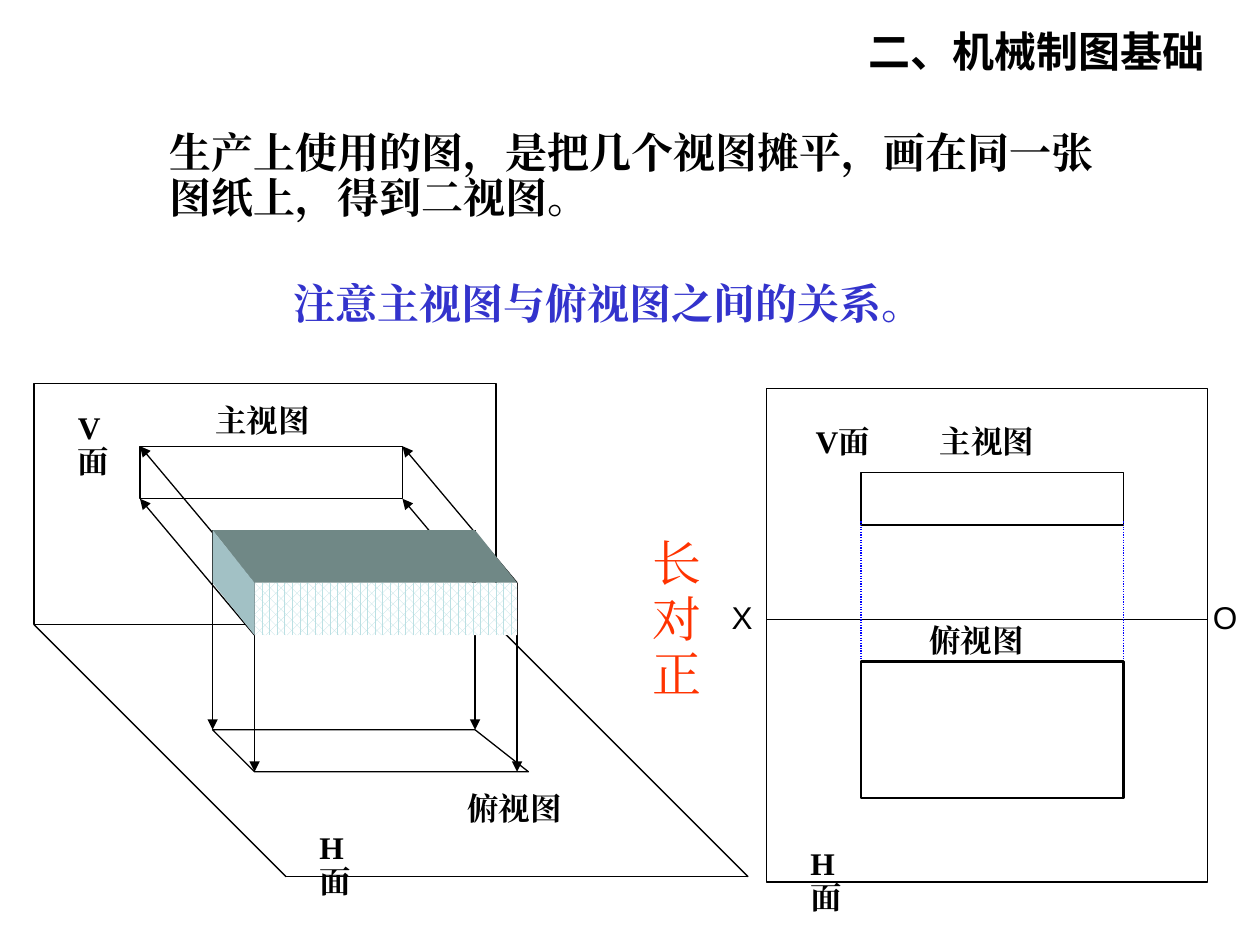
from itertools import product

from lxml import etree
from pptx import Presentation
from pptx.dml.color import RGBColor
from pptx.enum.dml import MSO_LINE, MSO_PATTERN
from pptx.enum.shapes import MSO_CONNECTOR, MSO_SHAPE
from pptx.enum.text import MSO_ANCHOR, PP_ALIGN
from pptx.oxml.ns import qn
from pptx.util import Pt

LEFT, CENTER = PP_ALIGN.LEFT, PP_ALIGN.CENTER
MIDDLE = MSO_ANCHOR.MIDDLE
RECTANGLE, STRAIGHT = MSO_SHAPE.RECTANGLE, MSO_CONNECTOR.STRAIGHT
DOTTED, DOTS = MSO_LINE.ROUND_DOT, MSO_PATTERN.PERCENT_60

THEME = {
    "black": RGBColor.from_string("000000"),
    "white": RGBColor.from_string("FFFFFF"),
    "note": RGBColor.from_string("3333CC"),
    "rule": RGBColor.from_string("FF3300"),
    "guide": RGBColor.from_string("0000FF"),
    "front": RGBColor.from_string("BBE0E3"),
    "top": RGBColor.from_string("708886"),
    "side": RGBColor.from_string("A2C1C5"),
    "serif": "Times New Roman",
    "sans": "Arial",
    "heading": "Noto Sans CJK SC",
    "large": 24,
    "label": 18,
    "emphasis": 28,
}

deck = Presentation()
deck.slide_width, deck.slide_height = Pt(720), Pt(540)
page = deck.slides.add_slide(deck.slide_layouts[5])
shapes = page.shapes


def write(box, text, size, color="black", font="serif", bold=True, align=CENTER, spacing=0.9):
    """Fill a box with one paragraph in one Latin and East Asian typeface."""
    frame = box.text_frame
    frame.word_wrap = True
    frame.text = text
    para = frame.paragraphs[0]
    para.alignment, para.line_spacing, para.space_before = align, spacing, Pt(0)
    span = para.runs[0]
    span.font.name, span.font.size = THEME[font], Pt(THEME[size])
    span.font.bold, span.font.color.rgb = bold, THEME[color]
    east_asian = etree.SubElement(span._r.get_or_add_rPr(), qn("a:ea"))
    east_asian.set("typeface", THEME[font])


def draw_line(x1, y1, x2, y2, color="black", arrow=False):
    line = shapes.add_connector(STRAIGHT, Pt(x1), Pt(y1), Pt(x2), Pt(y2))
    line.line.color.rgb, line.line.width = THEME[color], Pt(0.75)
    if arrow:
        etree.SubElement(line.line._get_or_add_ln(), qn("a:tailEnd")).set("type", "triangle")
    etree.SubElement(line._element.spPr, qn("a:effectLst"))
    return line


# Heading
title = shapes.title
title.left, title.top, title.width, title.height = Pt(465), Pt(0), Pt(255), Pt(57.6)
title.text_frame.vertical_anchor = MIDDLE
write(title, "二、机械制图基础", "large", font="heading", spacing=1)

# Outlines: V plane and its view, then the flat sheet with both views
length, height = 150, 30
view_x, view_y = 80, 255
for left, top, width, tall, weight in [
    (19.5, 219, 264, 138, 0.75),
    (view_x, view_y, length, height, 0.75),
    (438, 222, 252, 282, 0.75),
    (492, 270, length, height, 1),
    (492, 378, length, 78, 1.25),
]:
    outline = shapes.add_shape(RECTANGLE, Pt(left), Pt(top), Pt(width), Pt(tall))
    outline.shadow.inherit = False
    outline.fill.background()
    outline.line.color.rgb, outline.line.width = THEME["black"], Pt(weight)

# H plane
for x1, y1, x2, y2 in [
    (19.5, 357, 163.5, 501),
    (283.5, 357, 427.5, 501),
    (163.5, 501, 427.5, 501),
]:
    draw_line(x1, y1, x2, y2)

# Projection rays from the solid to the two planes
solid_x, solid_y = 145.5, 333
depth_x, depth_y = 24, 30
back_x, back_y = solid_x - depth_x, solid_y - depth_y
for dx, dy in product((0, length), (0, height)):
    draw_line(solid_x + dx, solid_y + dy, view_x + dx, view_y + dy, arrow=True)
for dx in (0, length):
    draw_line(solid_x + dx, solid_y, solid_x + dx, 441, arrow=True)
    draw_line(back_x + dx, back_y, back_x + dx, 417, arrow=True)

# Solid and its top view on the H plane
front = shapes.add_shape(RECTANGLE, Pt(solid_x), Pt(solid_y), Pt(length), Pt(height))
front.shadow.inherit = False
front.fill.patterned()
front.fill.pattern = DOTS
front.fill.fore_color.rgb, front.fill.back_color.rgb = THEME["front"], THEME["white"]
front.line.fill.background()

top_face = [(back_x, back_y), (back_x + length, back_y),
            (solid_x + length, solid_y), (solid_x, solid_y)]
side_face = [(back_x, back_y), (solid_x, solid_y),
             (solid_x, solid_y + height), (back_x, back_y + height)]
top_view = [(back_x, 417), (solid_x, 441), (302, 441), (back_x + length, 417)]
for corners, fill in [(top_face, "top"), (side_face, "side"), (top_view, None)]:
    points = [(Pt(x), Pt(y)) for x, y in corners]
    builder = shapes.build_freeform(*points[0], scale=1.0)
    builder.add_line_segments(points[1:], close=True)
    face = builder.convert_to_shape()
    face.shadow.inherit = False
    if fill:
        face.fill.solid()
        face.fill.fore_color.rgb = THEME[fill]
        face.line.fill.background()
    else:
        face.fill.background()
        face.line.color.rgb, face.line.width = THEME["black"], Pt(0.75)

# Axis and alignment guides on the flat sheet
draw_line(438, 354, 690, 354)
for x in (492, 492 + length):
    draw_line(x, 298, x, 376.5, "guide").line.dash_style = DOTTED

# View and plane labels; the narrow boxes break after the letter
for text, left, top, width, align in [
    ("V面", 37.5, 232, 36, LEFT),
    ("H面", 175.5, 472, 36, LEFT),
    ("H面", 456, 481, 36, LEFT),
    ("V面", 456, 240, 51, CENTER),
    ("主视图", 528, 240, 72, CENTER),
    ("俯视图", 522, 354, 72, CENTER),
    ("主视图", 114, 228, 72, CENTER),
    ("俯视图", 258, 450, 72, CENTER),
]:
    box = shapes.add_textbox(Pt(left), Pt(top), Pt(width), Pt(26.5))
    write(box, text, "label", align=align)

# Sentences
statement = shapes.add_textbox(Pt(90), Pt(72), Pt(564), Pt(60))
write(statement, "生产上使用的图，是把几个视图摊平，画在同一张图纸上，得到二视图。", "large", align=LEFT)
note = shapes.add_textbox(Pt(158), Pt(158), Pt(380), Pt(76))
write(note, "注意主视图与俯视图之间的关系。", "large", "note")
rule = shapes.add_textbox(Pt(366), Pt(303), Pt(48), Pt(98))
write(rule, "长对正", "emphasis", "rule", bold=False, align=LEFT, spacing=0.95)

# Axis ends
for text, left, width in [("O", 686, 30), ("X", 411, 68)]:
    box = shapes.add_textbox(Pt(left), Pt(338), Pt(width), Pt(29))
    write(box, text, "label", font="sans", bold=False, align=LEFT, spacing=1)

deck.save("out.pptx")
